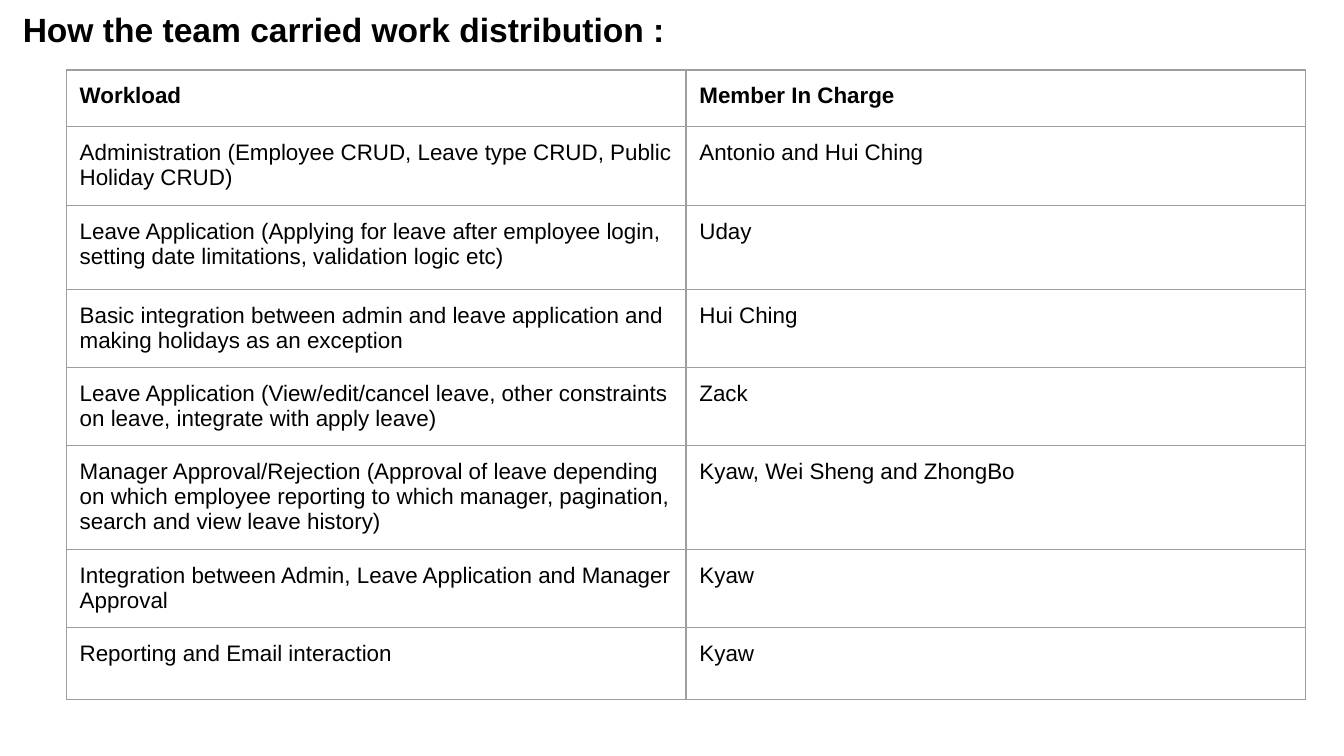
from lxml import etree
from pptx import Presentation
from pptx.dml.color import RGBColor
from pptx.enum.text import MSO_ANCHOR, PP_ALIGN
from pptx.oxml.ns import qn
from pptx.util import Pt

TOP, LEFT = MSO_ANCHOR.TOP, PP_ALIGN.LEFT
BLACK = RGBColor(0x00, 0x00, 0x00)
GRID_GRAY = RGBColor(0x9E, 0x9E, 0x9E)
FONT = "Arial"
INSET = Pt(7.2)
GRID_WIDTH = Pt(0.75)
TITLE_ONLY = 5

HEADING = "How the team carried work distribution :"
# Row height in points, workload, member in charge
ASSIGNMENTS = [
    (30.2, "Workload", "Member In Charge"),
    (42.5, "Administration (Employee CRUD, Leave type CRUD, Public Holiday CRUD)",
     "Antonio and Hui Ching"),
    (45, "Leave Application (Applying for leave after employee login, "
     "setting date limitations, validation logic etc)", "Uday"),
    (41.8, "Basic integration between admin and leave application and "
     "making holidays as an exception", "Hui Ching"),
    (41.8, "Leave Application (View/edit/cancel leave, other constraints on leave, "
     "integrate with apply leave)", "Zack"),
    (55.7, "Manager Approval/Rejection (Approval of leave depending on which employee "
     "reporting to which manager, pagination, search and view leave history)",
     "Kyaw, Wei Sheng and ZhongBo"),
    (41.8, "Integration between Admin, Leave Application and Manager Approval", "Kyaw"),
    (38.6, "Reporting and Email interaction", "Kyaw"),
]


def write_text(frame, text, size, bold):
    frame.text = text
    frame.word_wrap = True
    paragraph = frame.paragraphs[0]
    paragraph.alignment = LEFT
    font = paragraph.font
    font.name, font.size, font.bold = FONT, Pt(size), bold
    font.color.rgb = BLACK


def set_insets(holder):
    holder.margin_left = holder.margin_right = INSET
    holder.margin_top = holder.margin_bottom = INSET
    holder.vertical_anchor = TOP


def add_borders(cell):
    """Borders must come before the fill in the cell properties."""
    properties = cell._tc.get_or_add_tcPr()
    for position, side in enumerate(("a:lnL", "a:lnR", "a:lnT", "a:lnB")):
        line = etree.Element(qn(side), w=str(GRID_WIDTH))
        fill = etree.SubElement(line, qn("a:solidFill"))
        etree.SubElement(fill, qn("a:srgbClr"), val=str(GRID_GRAY))
        properties.insert(position, line)


def place_heading(slide, left, top, width, height):
    heading = slide.shapes.title
    heading.left, heading.top = left, top
    heading.width, heading.height = width, height
    write_text(heading.text_frame, HEADING, 18, True)
    set_insets(heading.text_frame)


def place_assignments(slide, left, top, width):
    height = Pt(sum(row_height for row_height, *_ in ASSIGNMENTS))
    table = slide.shapes.add_table(
        len(ASSIGNMENTS), 2, left, top, width, height).table
    table.first_row = table.horz_banding = False
    for column in table.columns:
        column.width = width // 2
    for row_index, (row_height, *entries) in enumerate(ASSIGNMENTS):
        row = table.rows[row_index]
        row.height = Pt(row_height)
        for cell, entry in zip(row.cells, entries):
            write_text(cell.text_frame, entry, 12, row_index == 0)
            set_insets(cell)
            cell.fill.background()
            add_borders(cell)


def main():
    presentation = Presentation()
    presentation.slide_width, presentation.slide_height = Pt(720), Pt(405)
    slide = presentation.slides.add_slide(presentation.slide_layouts[TITLE_ONLY])
    place_heading(slide, Pt(5), Pt(-2.2), Pt(625.7), Pt(29.5))
    place_assignments(slide, Pt(35.5), Pt(37.5), Pt(664))
    presentation.save("out.pptx")


if __name__ == "__main__":
    main()
